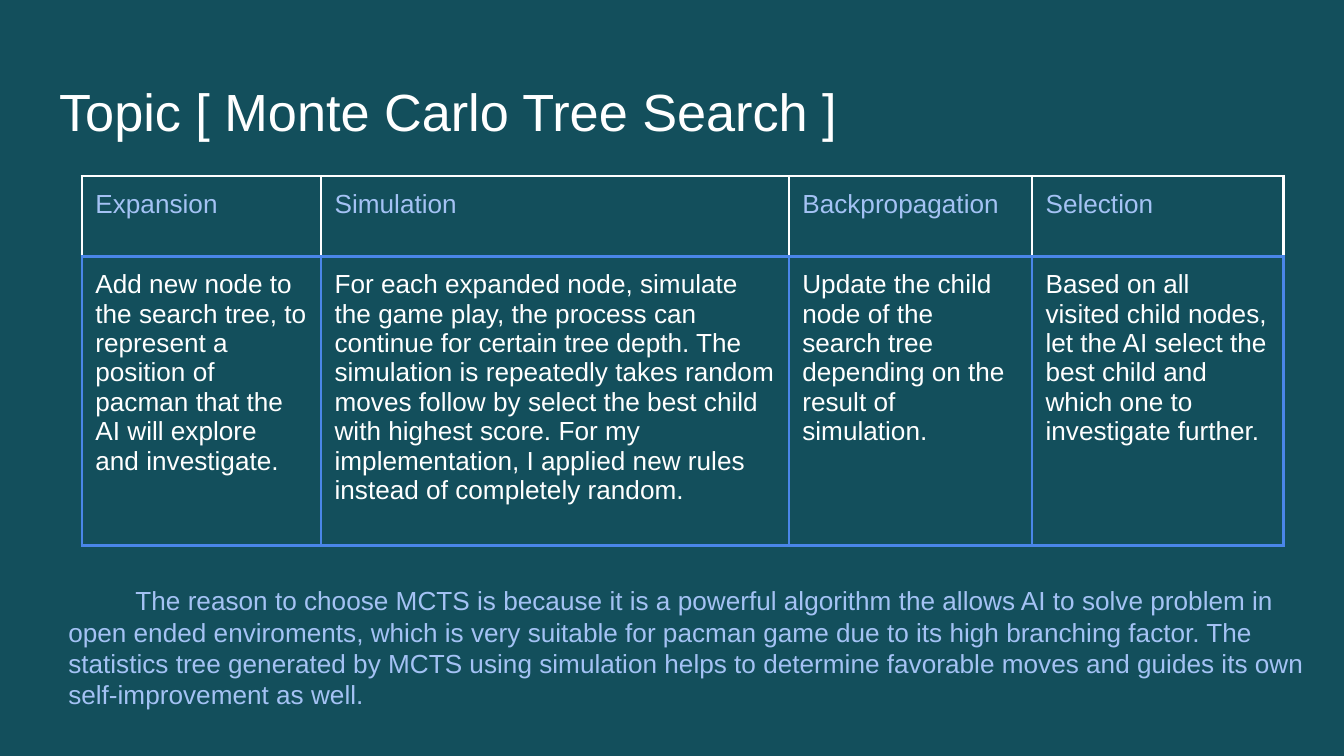
from lxml import etree
from pptx import Presentation
from pptx.dml.color import RGBColor
from pptx.enum.text import MSO_ANCHOR, MSO_AUTO_SIZE, PP_ALIGN
from pptx.oxml.ns import qn
from pptx.util import Inches, Pt

TOP = MSO_ANCHOR.TOP
NO_FIT = MSO_AUTO_SIZE.NONE
LEFT = PP_ALIGN.LEFT

TITLE = "Topic [ Monte Carlo Tree Search ]"
STEPS = [
    ("Expansion", 1.78,
     "Add new node to the search tree, to represent a position of pacman "
     "that the AI will explore and investigate."),
    ("Simulation", 3.48,
     "For each expanded node, simulate the game play, the process can continue "
     "for certain tree depth. The simulation is repeatedly takes random moves "
     "follow by select the best child with highest score. For my implementation, "
     "I applied new rules instead of completely random."),
    ("Backpropagation", 1.81,
     "Update the child node of the search tree depending on the result of simulation."),
    ("Selection", 1.87,
     "Based on all visited child nodes, let the AI select the best child "
     "and which one to investigate further."),
]
REASON = (
    "The reason to choose MCTS is because it is a powerful algorithm the allows AI "
    "to solve problem in open ended enviroments, which is very suitable for pacman "
    "game due to its high branching factor. The statistics tree generated by MCTS "
    "using simulation helps to determine favorable moves and guides its own "
    "self-improvement as well."
)

THEME = {
    "font": "Arial", "title_size": 28, "text_size": 14, "border": 1.5, "inset": 0.1,
    "background": "134F5C", "white": "FFFFFF", "pale": "A4C2F4", "blue": "4A86E8",
}
SLIDE_WIDTH = Inches(10)
SLIDE_HEIGHT = SLIDE_WIDTH * 9 // 16
ROW_HEIGHTS = (0.6, 2.15)
INSETS = {f"margin_{side}": Inches(THEME["inset"])
          for side in ("left", "top", "right", "bottom")}


def set_format(target, values):
    for name, value in values.items():
        setattr(target, name, value)


def write(frame, text, size, color):
    frame.text = text
    paragraph = frame.paragraphs[0]
    paragraph.alignment = LEFT
    font = paragraph.runs[0].font
    set_format(font, {"name": THEME["font"], "size": Pt(THEME[size])})
    font.color.rgb = RGBColor.from_string(THEME[color])
    return paragraph


def set_borders(cell, colors):
    properties = cell._tc.get_or_add_tcPr()
    for index, (side, color) in enumerate(zip("LRTB", colors)):
        line = etree.Element(qn(f"a:ln{side}"), w=str(Pt(THEME["border"])))
        fill = etree.SubElement(line, qn("a:solidFill"))
        etree.SubElement(fill, qn("a:srgbClr"), val=THEME[color])
        properties.insert(index, line)


def add_title(slide):
    title = slide.shapes.title
    set_format(title, {"left": Inches(0.34), "top": Inches(0.49),
                       "width": Inches(9.32), "height": Inches(0.63)})
    set_format(title.text_frame, {**INSETS, "word_wrap": True,
                                  "vertical_anchor": TOP, "auto_size": NO_FIT})
    write(title.text_frame, TITLE, "title_size", "white")


def add_steps(slide):
    widths = [width for _, width, _ in STEPS]
    table = slide.shapes.add_table(
        len(ROW_HEIGHTS), len(STEPS), Inches(0.61), Inches(1.31),
        Inches(sum(widths)), Inches(sum(ROW_HEIGHTS))).table
    set_format(table, {"first_row": False, "horz_banding": False})
    for row, height in zip(table.rows, ROW_HEIGHTS):
        row.height = Inches(height)
    for column, (heading, width, description) in enumerate(STEPS):
        table.columns[column].width = Inches(width)
        rows = [(heading, "pale", ("white", "white", "white", "blue")),
                (description, "white", ("blue",) * 4)]
        for row, (text, color, borders) in enumerate(rows):
            cell = table.cell(row, column)
            set_format(cell, {**INSETS, "vertical_anchor": TOP})
            cell.fill.background()
            set_borders(cell, borders)
            write(cell.text_frame, text, "text_size", color)


def add_reason(slide):
    reason = slide.shapes.add_textbox(
        Inches(0.41), Inches(4.25), Inches(9.44), Inches(0.95))
    set_format(reason.text_frame, {**INSETS, "word_wrap": True,
                                   "vertical_anchor": TOP})
    paragraph = write(reason.text_frame, REASON, "text_size", "pale")
    paragraph._p.get_or_add_pPr().set("indent", str(Inches(0.5)))


def main():
    deck = Presentation()
    set_format(deck, {"slide_width": SLIDE_WIDTH, "slide_height": SLIDE_HEIGHT})
    slide = deck.slides.add_slide(deck.slide_layouts[5])
    background = slide.background.fill
    background.solid()
    background.fore_color.rgb = RGBColor.from_string(THEME["background"])
    add_title(slide)
    add_steps(slide)
    add_reason(slide)
    deck.save("out.pptx")


if __name__ == "__main__":
    main()
